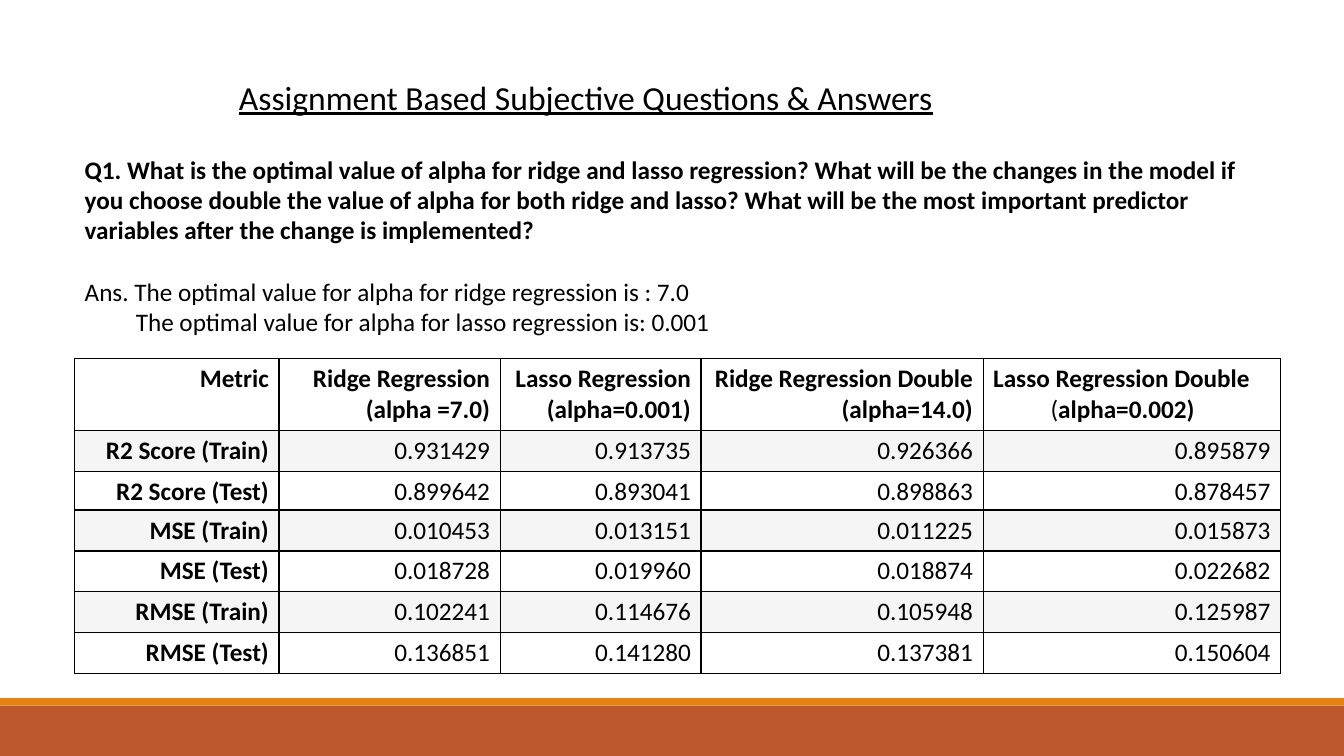
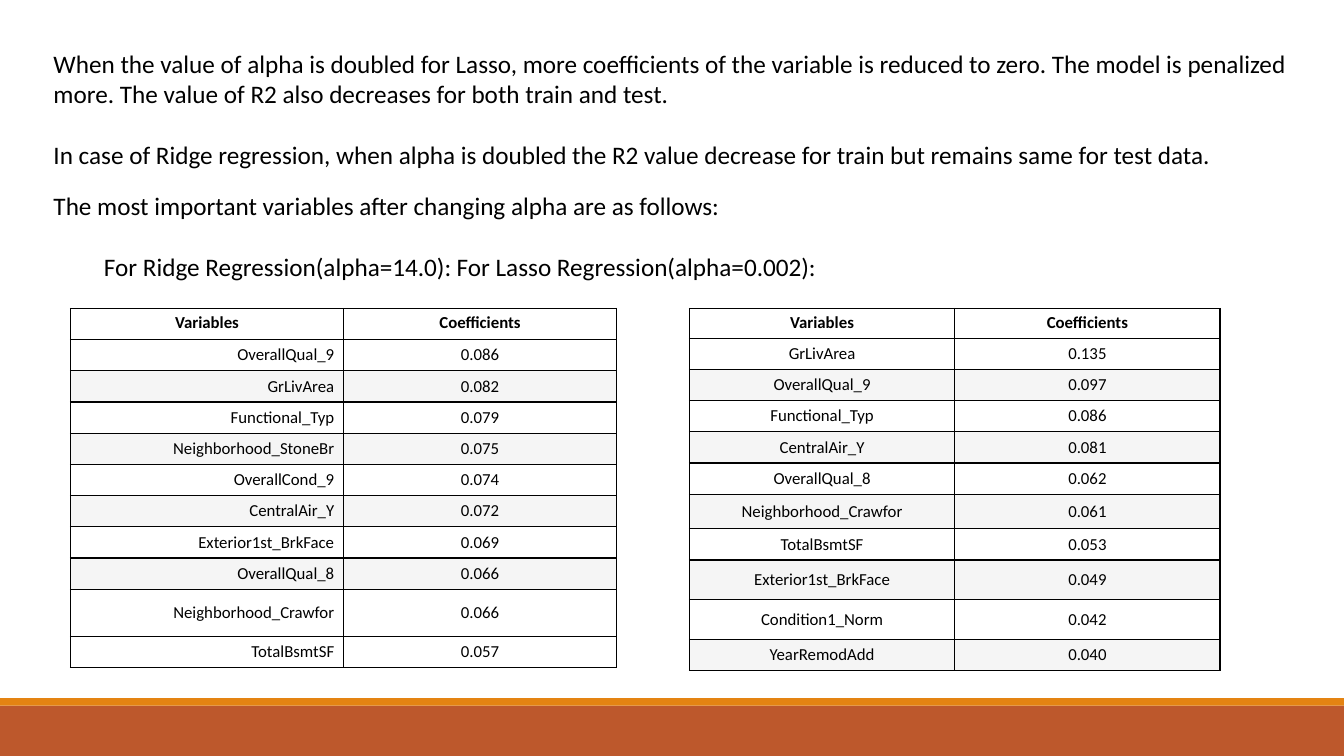
from lxml import etree
from pptx import Presentation
from pptx.dml.color import RGBColor
from pptx.enum.shapes import MSO_SHAPE
from pptx.enum.text import MSO_ANCHOR, MSO_AUTO_SIZE, PP_ALIGN
from pptx.oxml import parse_xml
from pptx.oxml.ns import nsdecls, qn
from pptx.util import Pt

LEFT, CENTER, RIGHT = PP_ALIGN.LEFT, PP_ALIGN.CENTER, PP_ALIGN.RIGHT
TOP, MIDDLE = MSO_ANCHOR.TOP, MSO_ANCHOR.MIDDLE
RECT = MSO_SHAPE.RECTANGLE
FIXED = MSO_AUTO_SIZE.NONE

FONT = "Calibri"
COLORS = {"ink": "000000", "page": "FFFFFF", "stripe": "F5F5F5",
          "band": "BD582C", "edge": "E48312"}
WIDTH, HEIGHT = 960, 540
BANDS = [("band", 504, 36), ("edge", 498.7, 5.3)]

HEADS = ["Metric", "Ridge Regression\n(alpha =7.0)", "Lasso Regression\n(alpha=0.001)",
         "Ridge Regression Double\n(alpha=14.0)", "Lasso Regression Double\n(alpha=0.002)"]
SCORES = [
    ["R2 Score (Train)", "0.931429", "0.913735", "0.926366", "0.895879"],
    ["R2 Score (Test)", "0.899642", "0.893041", "0.898863", "0.878457"],
]
ERRORS = [
    ["MSE (Train)", "0.010453", "0.013151", "0.011225", "0.015873"],
    ["MSE (Test)", "0.018728", "0.019960", "0.018874", "0.022682"],
    ["RMSE (Train)", "0.102241", "0.114676", "0.105948", "0.125987"],
    ["RMSE (Test)", "0.136851", "0.141280", "0.137381", "0.150604"],
]
RIDGE = [
    ["Variables", "Coefficients"],
    ["OverallQual_9", "0.086"], ["GrLivArea", "0.082"],
    ["Functional_Typ", "0.079"], ["Neighborhood_StoneBr", "0.075"],
    ["OverallCond_9", "0.074"], ["CentralAir_Y", "0.072"],
    ["Exterior1st_BrkFace", "0.069"], ["OverallQual_8", "0.066"],
    ["Neighborhood_Crawfor", "0.066"], ["TotalBsmtSF", "0.057"],
]
LASSO = [
    ["Variables", "Coefficients"],
    ["GrLivArea", "0.135"], ["OverallQual_9", "0.097"],
    ["Functional_Typ", "0.086"], ["CentralAir_Y", "0.081"],
    ["OverallQual_8", "0.062"], ["Neighborhood_Crawfor", "0.061"],
    ["TotalBsmtSF", "0.053"], ["Exterior1st_BrkFace", "0.049"],
    ["Condition1_Norm", "0.042"], ["YearRemodAdd", "0.040"],
]


def color(name):
    return RGBColor.from_string(COLORS[name])


def style(para, size, bold=False, line=False):
    for run in para.runs:
        font = run.font
        font.name, font.size, font.bold = FONT, Pt(size), bold
        font.underline = line
        font.color.rgb = color("ink")


def place(shape, box):
    shape.left, shape.top, shape.width, shape.height = map(Pt, box)


def add_bands(deck, slide):
    for name, top, high in BANDS:
        band = slide.shapes.add_shape(RECT, 0, Pt(top), Pt(WIDTH), Pt(high))
        band.shadow.inherit = False
        band.fill.solid()
        band.fill.fore_color.rgb = color(name)
        band.line.fill.background()
        deck.slide_master.shapes.element.append(band.element)


def add_title(slide, box, text):
    title = slide.shapes.title
    place(title, box)
    frame = title.text_frame
    frame.text = text
    frame.auto_size = FIXED
    frame.vertical_anchor = TOP
    para = frame.paragraphs[0]
    para.alignment = CENTER
    style(para, 24, line=True)


def add_body(slide, box, items):
    body = slide.placeholders[1]
    place(body, box)
    frame = body.text_frame
    frame.text = "\n".join(item["text"] for item in items)
    frame.auto_size = FIXED
    for para, item in zip(frame.paragraphs, items):
        para.space_before = Pt(item.get("gap", 0))
        style(para, 18, item.get("bold", False))
        props = para._p.get_or_add_pPr()
        props.set("marL", str(Pt(item.get("indent", 0))))
        props.set("indent", "0")
        etree.SubElement(props, qn("a:buNone"))
        if "tabs" in item:
            stops = etree.SubElement(props, qn("a:tabLst"))
            for stop in item["tabs"]:
                etree.SubElement(stops, qn("a:tab"), pos=str(Pt(stop)), algn="l")


def add_border(cell):
    props = cell._tc.get_or_add_tcPr()
    for spot, side in enumerate("LRTB"):
        props.insert(spot, parse_xml(
            f'<a:ln{side} {nsdecls("a")} w="{Pt(1)}"><a:solidFill>'
            f'<a:srgbClr val="{COLORS["ink"]}"/></a:solidFill></a:ln{side}>'))


def add_grid(slide, left, top, cols, highs, rows, aligns, size, pad,
             striped, head=True, lead=False):
    frame = slide.shapes.add_table(len(rows), len(cols), Pt(left), Pt(top),
                                   Pt(sum(cols)), Pt(sum(highs)))
    grid = frame.table
    grid.first_row = grid.horz_banding = False
    for col, wide in zip(grid.columns, cols):
        col.width = Pt(wide)
    for r, values in enumerate(rows):
        grid.rows[r].height = Pt(highs[r])
        title = head and r == 0
        for c, value in enumerate(values):
            cell = grid.cell(r, c)
            cell.text_frame.text = value
            cell.margin_left = cell.margin_right = Pt(pad)
            cell.margin_top = cell.margin_bottom = Pt(pad / 2)
            cell.vertical_anchor = TOP if title else MIDDLE
            cell.fill.solid()
            cell.fill.fore_color.rgb = color("stripe" if r in striped else "page")
            add_border(cell)
            for para in cell.text_frame.paragraphs:
                para.alignment = aligns[0 if title else c]
                style(para, size, title or (lead and c == 0))
    return grid


def add_metrics(slide, left, top):
    cols = [146, 158, 143.5, 201.5, 212.5]
    shared = {"aligns": [RIGHT] * 5, "size": 18, "pad": 7.2, "lead": True}
    grid = add_grid(slide, left, top, cols, [50.4, 28.8, 28.8], [HEADS] + SCORES,
                    striped=[1], **shared)
    last = grid.cell(0, 4).text_frame.paragraphs
    for para in last:
        para.alignment = LEFT
    last[1]._p.get_or_add_pPr().set("marL", str(Pt(41)))
    last[1].text = "("
    last[1].add_run().text = "alpha=0.002)"
    style(last[1], 18, True)
    last[1].runs[0].font.bold = False
    add_grid(slide, left, top + 108, cols, [28.8] * 4, ERRORS,
             striped=[0, 2], head=False, **shared)


def add_weights(slide, left, top, wide, highs, rows, aligns, striped):
    grid = add_grid(slide, left, top, [wide / 2] * 2, highs, rows, aligns,
                    12, 6.6, striped)
    for cell in grid.rows[0].cells:
        cell.text_frame.paragraphs[0].alignment = CENTER


def build_question(slide):
    add_title(slide, (45.4, 51.1, 746, 36),
              "Assignment Based Subjective Questions & Answers")
    add_body(slide, (53.3, 106.6, 861, 203.8), [
        {"text": "Q1. What is the optimal value of alpha for ridge and lasso regression? "
                 "What will be the changes in the model if you choose double the value of "
                 "alpha for both ridge and lasso? What will be the most important predictor "
                 "variables after the change is implemented?", "bold": True},
        {"text": "Ans. The optimal value for alpha for ridge regression is : 7.0", "gap": 22},
        {"text": "The optimal value for alpha for lasso regression is: 0.001", "indent": 36.5},
    ])
    add_metrics(slide, 53.3, 256.3)


def build_answer(slide):
    title = slide.shapes.title.element
    title.getparent().remove(title)
    add_body(slide, (31, 31, 907, 174.2), [
        {"text": "When the value of alpha is doubled for Lasso, more coefficients of the "
                 "variable is reduced to zero. The model is penalized more. The value of R2 "
                 "also decreases for both train and test."},
        {"text": "In case of Ridge regression, when alpha is doubled the R2 value decrease "
                 "for train but remains same for test data.", "gap": 22},
        {"text": "The most important variables after changing alpha are as follows:",
         "gap": 14.6},
        {"text": "\tFor Ridge Regression(alpha=14.0):\tFor Lasso Regression(alpha=0.002):",
         "gap": 22, "tabs": [48.5, 532]},
    ])
    row = 22.3
    add_weights(slide, 50.4, 220.3, 390, [row] * 9 + [33.8, row], RIDGE,
                [RIGHT, CENTER], range(2, 10, 2))
    add_weights(slide, 492.5, 220.3, 379,
                [18] + [row] * 5 + [24.8, row, 28.4, 28.4, row], LASSO,
                [CENTER, CENTER], range(2, 11, 2))


def main():
    deck = Presentation()
    deck.slide_width, deck.slide_height = Pt(WIDTH), Pt(HEIGHT)
    layout = deck.slide_layouts[1]
    first, second = [deck.slides.add_slide(layout) for _ in range(2)]
    add_bands(deck, first)
    build_question(first)
    build_answer(second)
    deck.save("out.pptx")


if __name__ == "__main__":
    main()
